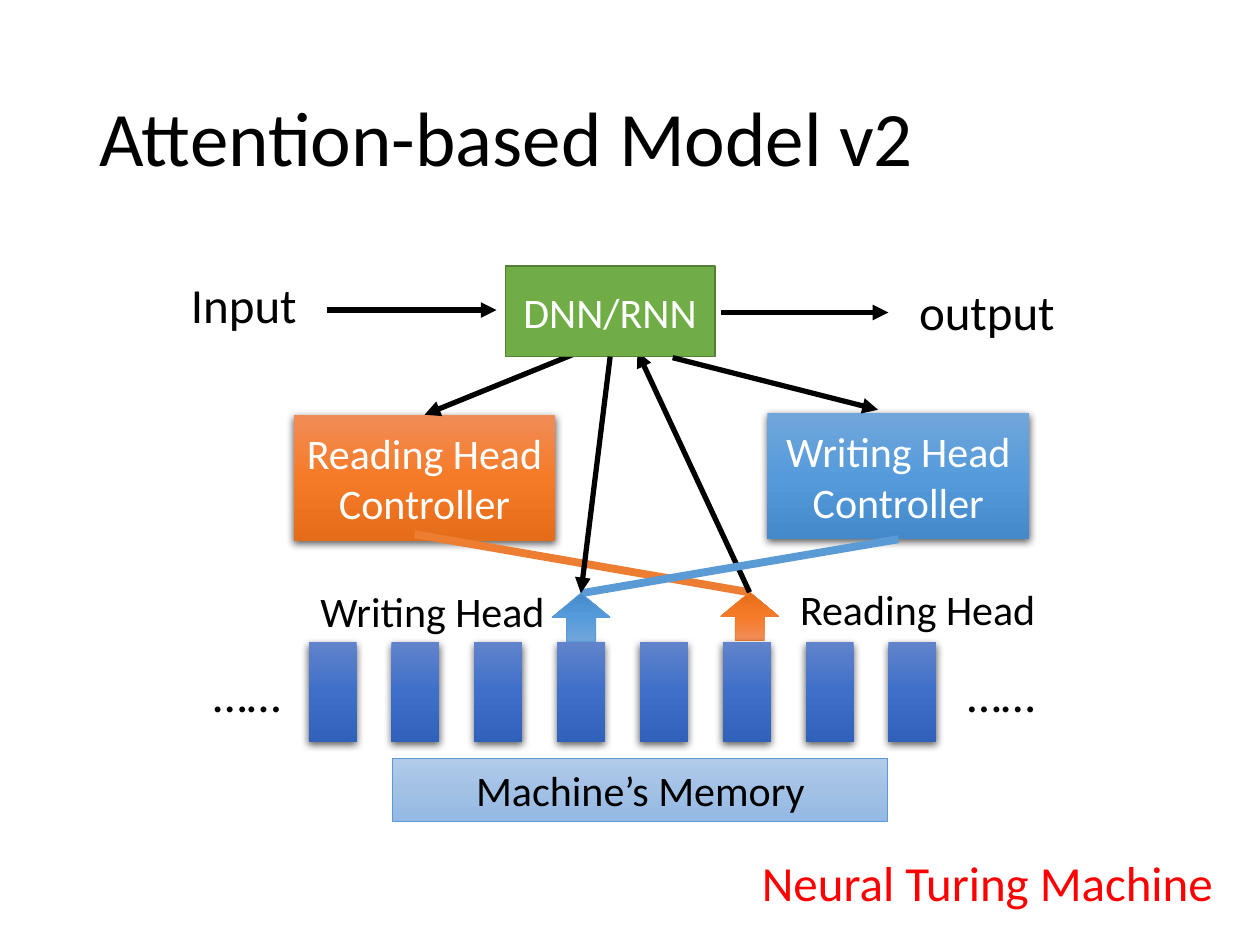
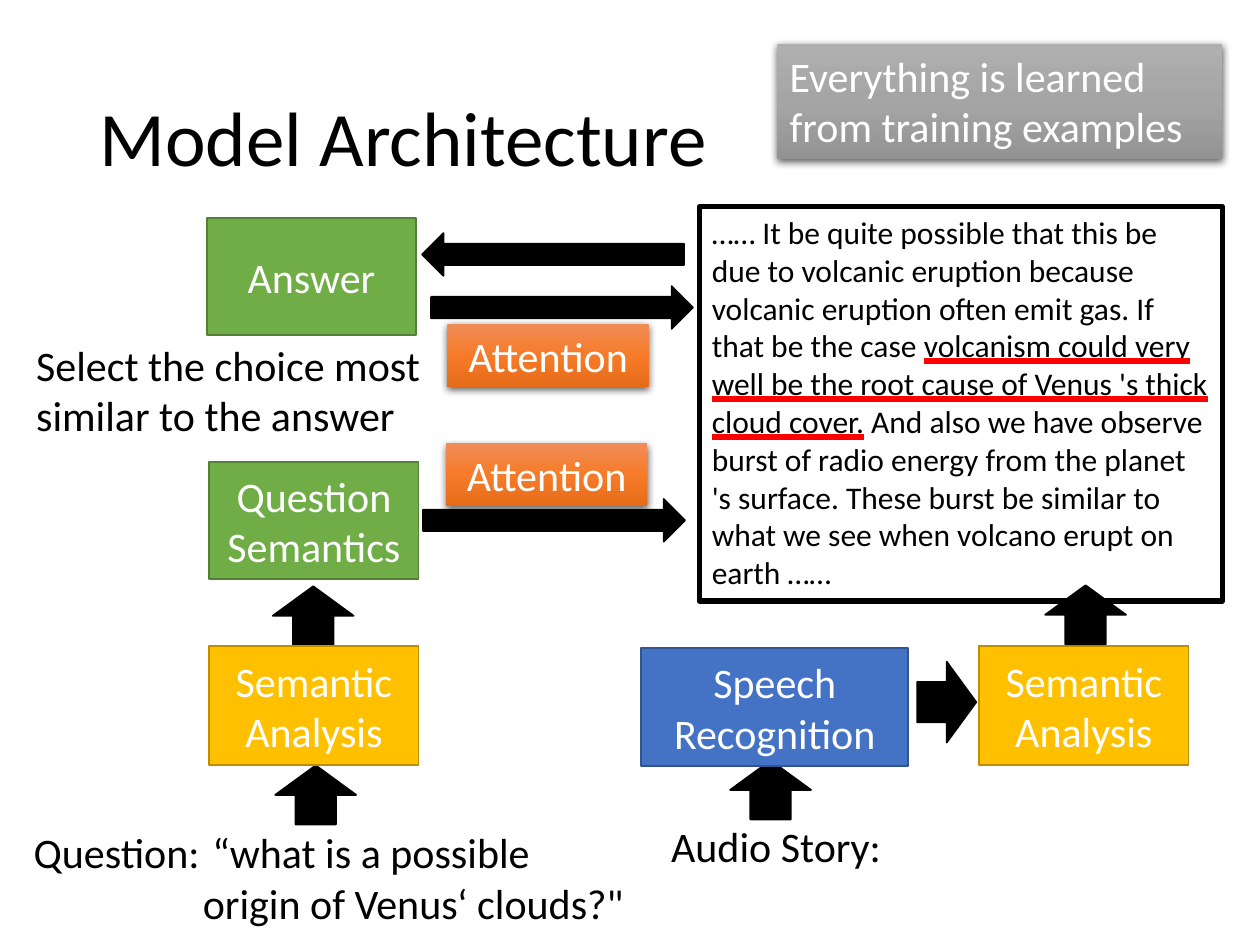
from copy import deepcopy
from dataclasses import dataclass

from pptx import Presentation
from pptx.dml.color import RGBColor
from pptx.enum.shapes import MSO_CONNECTOR, MSO_SHAPE
from pptx.enum.text import MSO_ANCHOR, MSO_AUTO_SIZE, MSO_UNDERLINE, PP_ALIGN
from pptx.oxml import parse_xml
from pptx.oxml.ns import nsdecls, qn
from pptx.util import Cm, Pt


@dataclass(frozen=True)
class Theme:
    font: str = "Calibri"
    title: int = 44
    large: int = 28
    body: int = 24
    small: int = 18
    black: str = "000000"
    white: str = "FFFFFF"
    red: str = "FF0000"
    orange_line: str = "ED7D31"
    sky_line: str = "5B9BD5"
    green: tuple = ("70AD47", "538035")
    yellow: tuple = ("FFC000", "BD8E00")
    blue: tuple = ("4472C4", "325491")
    orange: tuple = ("F18C57", "F67B28", "E56C19")
    sky: tuple = ("71A6DB", "559BDB", "448ACA")
    navy: tuple = ("6183CB", "3E70CA", "3062BB")
    pale: tuple = ("B1CBE9", "A3C1E5", "93B9E4")
    grey: tuple = ("AFAFAF", "A5A5A5", "939393")


class Deck:
    """Hold the theme and the current slide, and draw each kind of element."""

    def __init__(self, theme):
        self.theme = theme
        self.prs = Presentation()
        self.prs.slide_width, self.prs.slide_height = Cm(25.4), Cm(19.05)

    def slide(self, title):
        self.s = self.prs.slides.add_slide(self.prs.slide_layouts[5])
        sp = self.s.shapes.title
        place = {"left": 1.75, "top": 1.01, "width": 21.9, "height": 3.68}
        for name, value in place.items():
            setattr(sp, name, Cm(value))
        self.fill_text(sp, title, size=self.theme.title, grow=False)
        sp.text_frame.paragraphs[0].line_spacing = 0.9

    def fill_text(self, sp, text, size=None, color=None, align=PP_ALIGN.LEFT,
                  grow=True, wrap=True):
        tf = sp.text_frame
        frame = {
            "word_wrap": wrap,
            "auto_size": MSO_AUTO_SIZE.SHAPE_TO_FIT_TEXT if grow else MSO_AUTO_SIZE.NONE,
            "vertical_anchor": MSO_ANCHOR.TOP if grow else MSO_ANCHOR.MIDDLE,
        }
        for name, value in frame.items():
            setattr(tf, name, value)
        p = tf.paragraphs[0]
        p.alignment = align
        runs = [text] if isinstance(text, str) else text
        for i, words in enumerate(runs):
            r = p.add_run()
            r.text = words
            font = {"name": self.theme.font, "size": Pt(size or self.theme.body)}
            for name, value in font.items():
                setattr(r.font, name, value)
            r.font.color.rgb = RGBColor.from_string(color or self.theme.black)
            if i % 2:
                self.underline(r)

    def underline(self, r):
        r.font.underline = MSO_UNDERLINE.HEAVY_LINE
        r._r.rPr.find(qn("a:solidFill")).addnext(parse_xml(
            f'<a:uFill {nsdecls("a")}><a:solidFill>'
            f'<a:srgbClr val="{self.theme.red}"/></a:solidFill></a:uFill>'))

    def text(self, at, text, **fmt):
        sp = self.s.shapes.add_textbox(*map(Cm, at))
        self.fill_text(sp, text, **fmt)

    def shape(self, at, kind=MSO_SHAPE.RECTANGLE, fill=None, line=None,
              width=1, angle=270, shadow=False):
        sp = self.s.shapes.add_shape(kind, *map(Cm, at))
        sp.shadow.inherit = False
        if fill is None:
            sp.fill.background()
        elif isinstance(fill, str):
            sp.fill.solid()
            sp.fill.fore_color.rgb = RGBColor.from_string(fill)
        else:
            self.gradient(sp, fill, angle)
        if line:
            sp.line.color.rgb = RGBColor.from_string(line)
            sp.line.width = Pt(width)
        else:
            sp.line.fill.background()
        if shadow:
            sp._element.spPr.find(qn("a:effectLst")).append(parse_xml(
                f'<a:outerShdw {nsdecls("a")} blurRad="57150" dist="19050" '
                'dir="5400000" algn="ctr" rotWithShape="0">'
                f'<a:srgbClr val="{self.theme.black}"><a:alpha val="63000"/>'
                '</a:srgbClr></a:outerShdw>'))
        return sp

    def gradient(self, sp, colors, angle):
        sp.fill.gradient()
        sp.fill.gradient_angle = angle
        stops = sp._element.spPr.find(".//" + qn("a:gsLst"))
        stops.insert(1, deepcopy(stops[0]))
        for stop, position, color in zip(sp.fill.gradient_stops, (0, 0.5, 1), colors):
            stop.position = position
            stop.color.rgb = RGBColor.from_string(color)

    def box(self, at, text, colors):
        fill, line = colors
        sp = self.shape(at, fill=fill, line=line)
        self.fill_text(sp, text, color=self.theme.white, align=PP_ALIGN.CENTER,
                       grow=False)
        return sp

    def raised(self, at, text, colors, align=PP_ALIGN.CENTER, grow=True):
        sp = self.shape(at, fill=colors, shadow=True)
        self.fill_text(sp, text, color=self.theme.white, align=align, grow=grow)
        return sp

    def arrow(self, at, kind):
        self.shape(at, kind, fill=self.theme.black, line=self.theme.black)

    def up_arrow(self, left, top):
        self.arrow((left, top, 1.63, 1.19), MSO_SHAPE.UP_ARROW)

    def head(self, left, top, colors, line):
        self.shape((left, top, 1.17, 0.97), MSO_SHAPE.UP_ARROW, fill=colors,
                   line=line, width=0.5, angle=90)

    def line(self, start, end, color=None, begin=None, finish=None):
        c = self.s.shapes.add_connector(MSO_CONNECTOR.STRAIGHT, *map(Cm, start + end))
        c.line.color.rgb = RGBColor.from_string(color or self.theme.black)
        c.line.width = Pt(4.5 if color else 3)
        spPr = c._element.spPr
        if not color:
            spPr.find(qn("a:ln")).append(
                parse_xml(f'<a:tailEnd {nsdecls("a")} type="triangle"/>'))
        spPr.append(parse_xml(f'<a:effectLst {nsdecls("a")}/>'))
        if begin:
            c.begin_connect(*begin)
        if finish:
            c.end_connect(*finish)


def attention_slide(d):
    t = d.theme
    center, right = PP_ALIGN.CENTER, PP_ALIGN.RIGHT
    reading_tip, writing_tip = (15.11, 11.94), (11.71, 11.96)
    d.slide("Attention-based Model v2")
    reading = d.raised((5.92, 8.36, 5.28, 2.54), "Reading Head Controller",
                       t.orange, grow=False)
    d.text((2.72, 5.41, 4.39, 1.45), "Input", size=t.large, align=center)
    d.head(14.53, 11.94, t.orange, t.orange_line)
    d.text((15.88, 11.63, 5.87, 1.27), "Reading Head")
    d.line((12.01, 6.96), (8.56, 8.36), finish=(reading, 0))
    d.line(reading_tip, (8.36, 10.77), t.orange_line)
    d.line((6.6, 6.25), (10.01, 6.25))
    d.text((17.7, 5.56, 4.39, 1.45), "output", size=t.large, align=center)
    d.line((14.53, 6.3), (17.91, 6.3))

    for i in range(8):
        d.shape((6.22 + i * 1.67, 12.95, 0.97, 2.01), fill=t.navy, shadow=True)
    for left, align in ((1.52, right), (19.25, PP_ALIGN.LEFT)):
        d.text((left, 13.26, 4.39, 1.45), "……", size=t.large, align=align)
    memory = d.shape((7.92, 15.29, 9.98, 1.27), fill=t.pale, line=t.sky_line, width=0.5)
    d.fill_text(memory, "Machine’s Memory", align=center)

    d.line(reading_tip, (12.85, 7.09))
    network = d.box((10.19, 5.36, 4.22, 1.83), "DNN/RNN", t.green)
    d.text((15.11, 17.07, 9.7, 1.45), "Neural Turing Machine", size=t.large,
           color=t.red, wrap=False)
    writing = d.raised((15.47, 8.33, 5.28, 2.54), "Writing Head Controller",
                       t.sky, grow=False)
    d.line(writing_tip, (18.11, 10.87), t.sky_line, finish=(writing, 2))
    d.head(11.13, 11.96, t.sky, t.sky_line)
    d.text((5.36, 11.68, 5.87, 1.27), "Writing Head", align=right)
    d.line((13.56, 7.21), (17.7, 8.26))
    d.line((12.3, 7.19), writing_tip, begin=(network, 2))


def architecture_slide(d):
    t = d.theme
    d.slide("Model Architecture")
    d.text((3.84, 16.54, 8.99, 2.31), " “what is a possible origin of Venus‘ clouds?\"")
    d.text((0.43, 16.54, 8.99, 1.27), "Question:")
    d.up_arrow(5.55, 15.43)
    d.up_arrow(5.5, 11.82)
    d.box((4.22, 9.32, 4.22, 2.36), "Question Semantics", t.green)
    passage = d.shape((14.1, 4.17, 10.54, 7.95), line=t.black, width=3)
    d.fill_text(passage, (
        "…… It be quite possible that this be due to volcanic eruption because "
        "volcanic eruption often emit gas. If that be the case ",
        "volcanism could very well be the root cause of Venus 's thick cloud cover.",
        " And also we have observe burst of radio energy from the planet 's surface. "
        "These burst be similar to what we see when volcano erupt on earth ……",
    ), size=t.small)

    d.text((13.28, 16.41, 8.99, 1.27), "Audio Story:")
    d.up_arrow(14.72, 15.33)
    d.box((12.93, 13.06, 5.38, 2.39), "Speech Recognition", t.blue)
    for left in (4.22, 19.74):
        d.box((left, 13.03, 4.22, 2.39), "Semantic Analysis", t.yellow)
    d.arrow((18.49, 13.34, 1.19, 1.63), MSO_SHAPE.RIGHT_ARROW)

    d.raised((8.99, 8.94, 4.06, 1.27), "Attention", t.orange)
    for left, top, kind in ((8.53, 10.06, MSO_SHAPE.RIGHT_ARROW),
                            (8.51, 4.7, MSO_SHAPE.LEFT_ARROW),
                            (8.69, 5.77, MSO_SHAPE.RIGHT_ARROW)):
        d.arrow((left, top, 5.28, 0.86), kind)
    d.box((4.17, 4.39, 4.22, 2.36), "Answer", t.green)
    d.text((0.48, 6.71, 8.66, 2.31), "Select the choice most similar to the answer")
    d.raised((9.02, 6.53, 4.06, 1.27), "Attention", t.orange)
    d.up_arrow(21.07, 11.8)
    d.raised((15.67, 0.89, 8.97, 2.31), "Everything is learned from training examples",
             t.grey, align=PP_ALIGN.LEFT)


def main():
    d = Deck(Theme())
    attention_slide(d)
    architecture_slide(d)
    d.prs.save("out.pptx")


if __name__ == "__main__":
    main()
